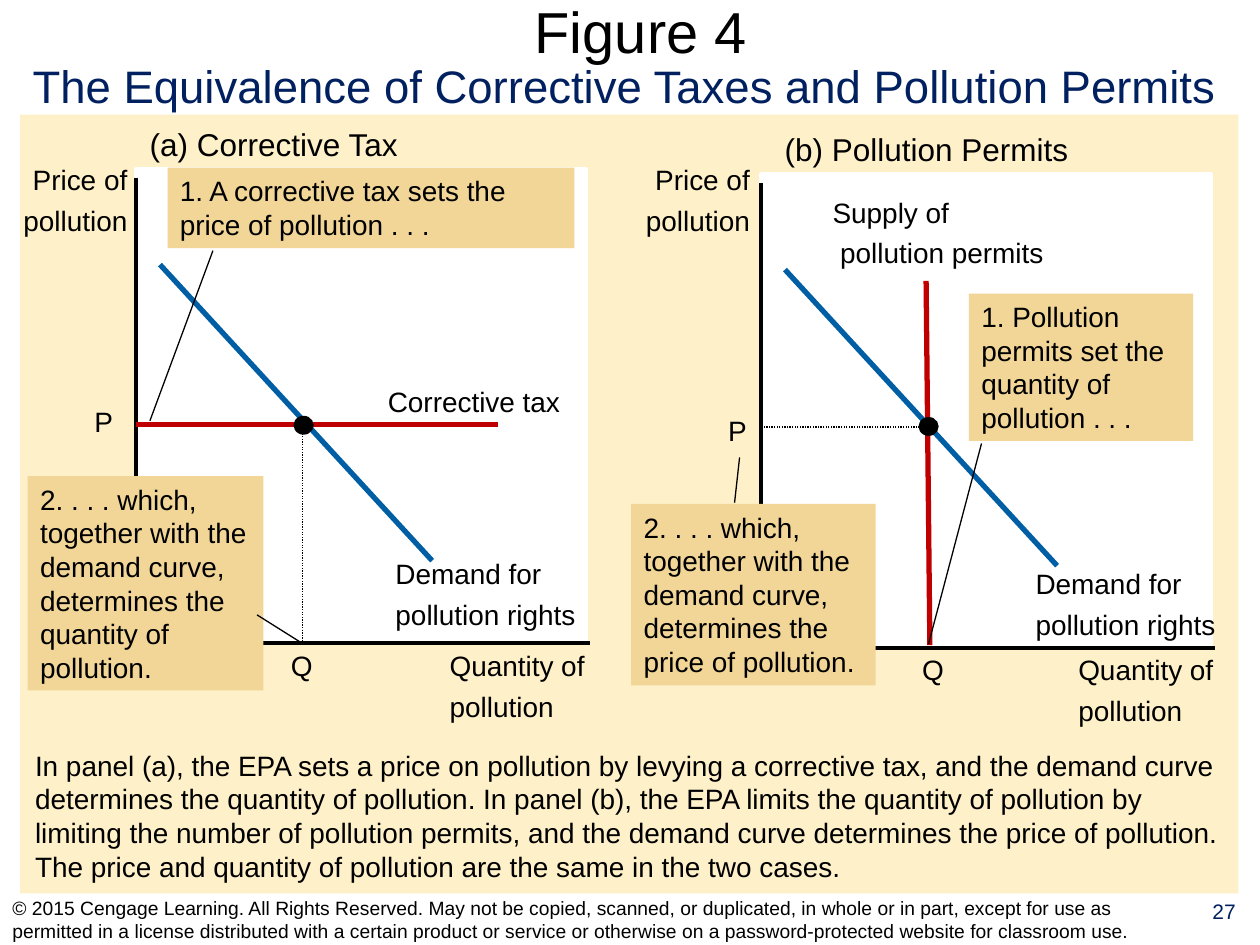
from lxml.etree import SubElement
from pptx import Presentation
from pptx.dml.color import RGBColor
from pptx.enum.dml import MSO_LINE
from pptx.enum.shapes import MSO_CONNECTOR, MSO_SHAPE
from pptx.enum.text import MSO_ANCHOR, MSO_AUTO_SIZE, PP_ALIGN
from pptx.oxml.ns import qn
from pptx.util import Inches, Pt

BLACK = RGBColor(0x00, 0x00, 0x00)
WHITE = RGBColor(0xFF, 0xFF, 0xFF)
NAVY = RGBColor(0x00, 0x20, 0x60)
CREAM = RGBColor(0xFE, 0xF0, 0xC8)
SAND = RGBColor(0xF2, 0xD6, 0x98)
BLUE = RGBColor(0x00, 0x5E, 0xA4)
RED = RGBColor(0xC0, 0x00, 0x00)

deck = Presentation()
deck.slide_width, deck.slide_height = Inches(10), Inches(7.5)
page = deck.slides.add_slide(deck.slide_layouts[6])


def add_text(text, left, top, width, height, *, size=16, color=BLACK, fill=None,
             align=PP_ALIGN.LEFT, anchor=MSO_ANCHOR.TOP, wrap=False, grow=True,
             last_indent=0):
    """Add text, one paragraph per line, on a filled rectangle if fill is given."""
    area = [Inches(value) for value in (left, top, width, height)]
    if fill is None:
        box = page.shapes.add_textbox(*area)
    else:
        box = page.shapes.add_shape(MSO_SHAPE.RECTANGLE, *area)
        box.shadow.inherit = False
        box.fill.solid()
        box.fill.fore_color.rgb = fill
        box.line.fill.background()
    frame = box.text_frame
    frame.word_wrap = wrap
    frame.auto_size = MSO_AUTO_SIZE.SHAPE_TO_FIT_TEXT if grow else MSO_AUTO_SIZE.NONE
    frame.vertical_anchor = anchor
    frame.text = text
    for paragraph in frame.paragraphs:
        paragraph.alignment = align
        paragraph.font.name = "Arial"
        paragraph.font.size = Pt(size)
        paragraph.font.color.rgb = color
    for paragraph in frame.paragraphs[1:]:
        paragraph.space_before = Pt(4)
    if last_indent:
        properties = frame.paragraphs[-1]._p.get_or_add_pPr()
        properties.set("marL", str(Inches(last_indent)))


def add_line(start, end, *, color=BLACK, weight=0.75, dotted=False):
    line = page.shapes.add_connector(
        MSO_CONNECTOR.STRAIGHT, *[Inches(value) for value in (*start, *end)])
    line.line.color.rgb = color
    line.line.width = Pt(weight)
    if dotted:
        line.line.dash_style = MSO_LINE.ROUND_DOT
    SubElement(line._element.spPr, qn("a:effectLst"))


# Background and headings
background = page.shapes.add_shape(
    MSO_SHAPE.RECTANGLE, Inches(0.16), Inches(0.91), Inches(9.67), Inches(6.18))
background.shadow.inherit = False
background.fill.solid()
background.fill.fore_color.rgb = CREAM
background.line.fill.background()

add_text("Figure 4", 0.35, 0, 9.47, 0.49, size=33, align=PP_ALIGN.CENTER,
         anchor=MSO_ANCHOR.MIDDLE, wrap=True, grow=False)
add_text("The Equivalence of Corrective Taxes and Pollution Permits",
         0.16, 0.41, 9.65, 0.54, size=26, color=NAVY)

# Parts shared by both panels: plot origin, heading, then label positions
panels = [
    (1.08, 1.34, "(a) Corrective Tax", (1.09, 0.94), (0.01, 1.24), (3.47, 5.1),
     (3.04, 4.37), (0.65, 3.16), (2.21, 5.1)),
    (6.04, 1.38, "(b) Pollution Permits", (6.13, 0.98), (4.95, 1.24), (8.46, 5.13),
     (8.12, 4.45), (5.68, 3.23), (7.22, 5.13)),
]
for left, top, heading, title, price, quantity, demand, p_mark, q_mark in panels:
    plot = page.shapes.add_shape(
        MSO_SHAPE.RECTANGLE, Inches(left), Inches(top), Inches(3.57), Inches(3.75))
    plot.shadow.inherit = False
    plot.fill.solid()
    plot.fill.fore_color.rgb = WHITE
    plot.line.color.rgb = WHITE
    plot.line.width = Pt(2)
    add_line((left, top + 0.07), (left, top + 3.73), weight=2.25)
    add_line((left, top + 3.76), (left + 3.6, top + 3.76), weight=2.25)
    add_line((left + 0.19, top + 0.76), (left + 2.35, top + 3.11),
             color=BLUE, weight=3)
    add_text(heading, *title, 3.6, 0.4, size=18, wrap=True)
    add_text("Price of\npollution", *price, 1.1, 0.69, align=PP_ALIGN.RIGHT,
             wrap=True)
    add_text("Quantity of\npollution", *quantity, 1.35, 0.69, wrap=True)
    add_text("Demand for\npollution rights", *demand, 1.75, 0.69, wrap=True)
    add_text("P", *p_mark, 0.4, 0.37, wrap=True)
    add_text("Q", *q_mark, 0.4, 0.37, wrap=True)

# Policy lines: a fixed price in (a), a fixed quantity in (b)
add_line((2.4, 3.38), (2.4, 5.09), dotted=True)
add_line((1.08, 3.37), (3.95, 3.37), color=RED, weight=3)
add_text("Corrective tax", 2.98, 3, 1.66, 0.37, wrap=True)
add_line((7.32, 3.39), (6.03, 3.39), dotted=True)
add_line((7.38, 5.12), (7.35, 2.23), color=RED, weight=3)
add_text("Supply of\npollution permits", 6.51, 1.5, 2.06, 0.69,
         wrap=True, last_indent=0.06)

# Equilibrium points
for left, top in [(2.33, 3.3), (7.29, 3.31)]:
    point = page.shapes.add_shape(
        MSO_SHAPE.OVAL, Inches(left), Inches(top), Inches(0.16), Inches(0.15))
    point.shadow.inherit = False
    point.fill.solid()
    point.fill.fore_color.rgb = BLACK
    point.line.fill.background()

# Callouts with their leader lines
callouts = [
    ("1. A corrective tax sets the price of pollution . . .",
     (1.33, 1.33, 3.23, 0.64), (1.19, 3.34), (1.69, 1.99)),
    ("2. . . . which, together with the demand curve, determines the quantity "
     "of pollution.",
     (0.22, 3.78, 1.87, 1.7), (2.39, 5.1), (2.04, 4.88)),
    ("1. Pollution permits set the quantity of pollution . . .",
     (7.69, 2.33, 1.78, 1.17), (7.37, 5.11), (7.79, 3.52)),
    ("2. . . . which, together with the demand curve, determines the price "
     "of pollution.",
     (5.01, 4, 1.94, 1.44), (5.83, 3.99), (5.87, 3.63)),
]
for text, area, start, end in callouts:
    add_text(text, *area, fill=SAND, wrap=True)
    add_line(start, end)

# Explanation and footer
add_text("In panel (a), the EPA sets a price on pollution by levying a corrective "
         "tax, and the demand curve determines the quantity of pollution. In panel "
         "(b), the EPA limits the quantity of pollution by limiting the number of "
         "pollution permits, and the demand curve determines the price of pollution. "
         "The price and quantity of pollution are the same in the two cases.",
         0.18, 5.89, 9.64, 1.17, wrap=True)
add_text("© 2015 Cengage Learning. All Rights Reserved. May not be copied, scanned, "
         "or duplicated, in whole or in part, except for use as permitted in a "
         "license distributed with a certain product or service or otherwise on a "
         "password-protected website for classroom use.",
         0, 7.1, 9.42, 0.4, size=11, anchor=MSO_ANCHOR.MIDDLE, wrap=True, grow=False)
add_text("27", 9.43, 7.08, 0.57, 0.41, size=12, color=NAVY,
         align=PP_ALIGN.CENTER, wrap=True, grow=False)

deck.save("out.pptx")
